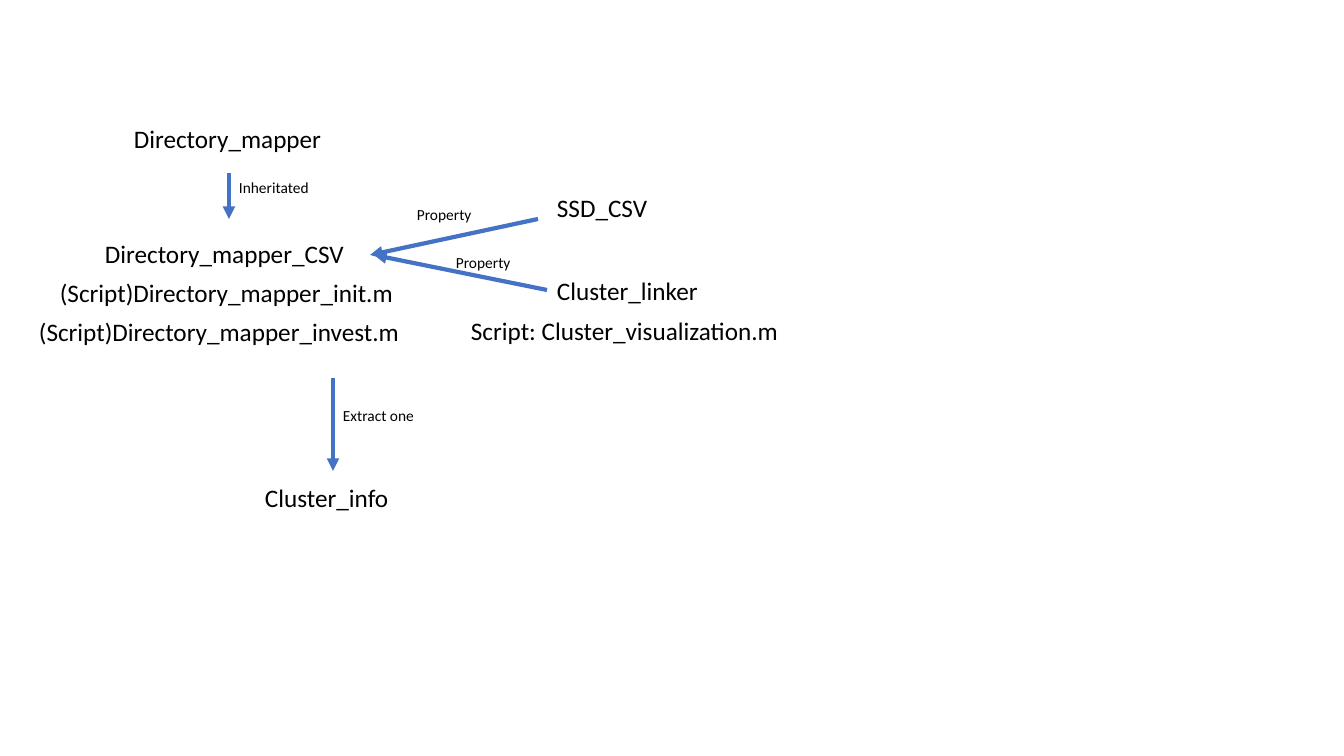
"""Build a slide that maps directory classes, scripts and their links."""
from lxml.etree import SubElement
from pptx import Presentation
from pptx.dml.color import RGBColor
from pptx.enum.shapes import MSO_CONNECTOR
from pptx.enum.text import MSO_AUTO_SIZE
from pptx.oxml.ns import qn
from pptx.util import Pt

SCALE = 9071.43
COLORS = {"text": "000000", "arrow": "4472C4"}
NODES = [
    ("Directory_mapper", 124, 118, 209),
    ("Directory_mapper_CSV", 95, 233, 268),
    ("(Script)Directory_mapper_init.m", 50, 272, 357),
    ("(Script)Directory_mapper_invest.m", 29, 311, 399),
    ("SSD_CSV", 547, 187, 112),
    ("Cluster_linker", 547, 270, 173),
    ("Script: Cluster_visualization.m", 461, 310, 336),
    ("Cluster_info", 255, 477, 173),
]
LABELS = [
    ("Inheritated", 229, 173),
    ("Property", 407, 200),
    ("Property", 446, 248),
    ("Extract one", 333, 401),
]
ARROWS = [
    (229, 173, 229, 219),
    (538, 219, 370, 255),
    (547, 290, 374, 255),
    (333, 378, 333, 471),
]


def px(*nums):
    return [round(num * SCALE) for num in nums]


def write(text, left, top, width, height=40, size=18):
    box = slide.shapes.add_textbox(*px(left, top, width, height))
    frame = box.text_frame
    frame.word_wrap = True
    frame.auto_size = MSO_AUTO_SIZE.SHAPE_TO_FIT_TEXT
    run = frame.paragraphs[0].add_run()
    run.text = text
    run.font.name = "Calibri"
    run.font.size = Pt(size)
    run.font.color.rgb = RGBColor.from_string(COLORS["text"])


def link(*ends):
    arrow = slide.shapes.add_connector(MSO_CONNECTOR.STRAIGHT, *px(*ends))
    arrow.line.width = Pt(3)
    arrow.line.color.rgb = RGBColor.from_string(COLORS["arrow"])
    SubElement(arrow.line._get_or_add_ln(), qn("a:tailEnd"), type="triangle")
    SubElement(arrow._element.spPr, qn("a:effectLst"))


deck = Presentation()
deck.slide_width, deck.slide_height = px(1344, 756)
slide = deck.slides.add_slide(deck.slide_layouts[6])
for node in NODES:
    write(*node)
for ends in ARROWS:
    link(*ends)
for label in LABELS:
    write(*label, width=104, height=29, size=11)
deck.save("out.pptx")
